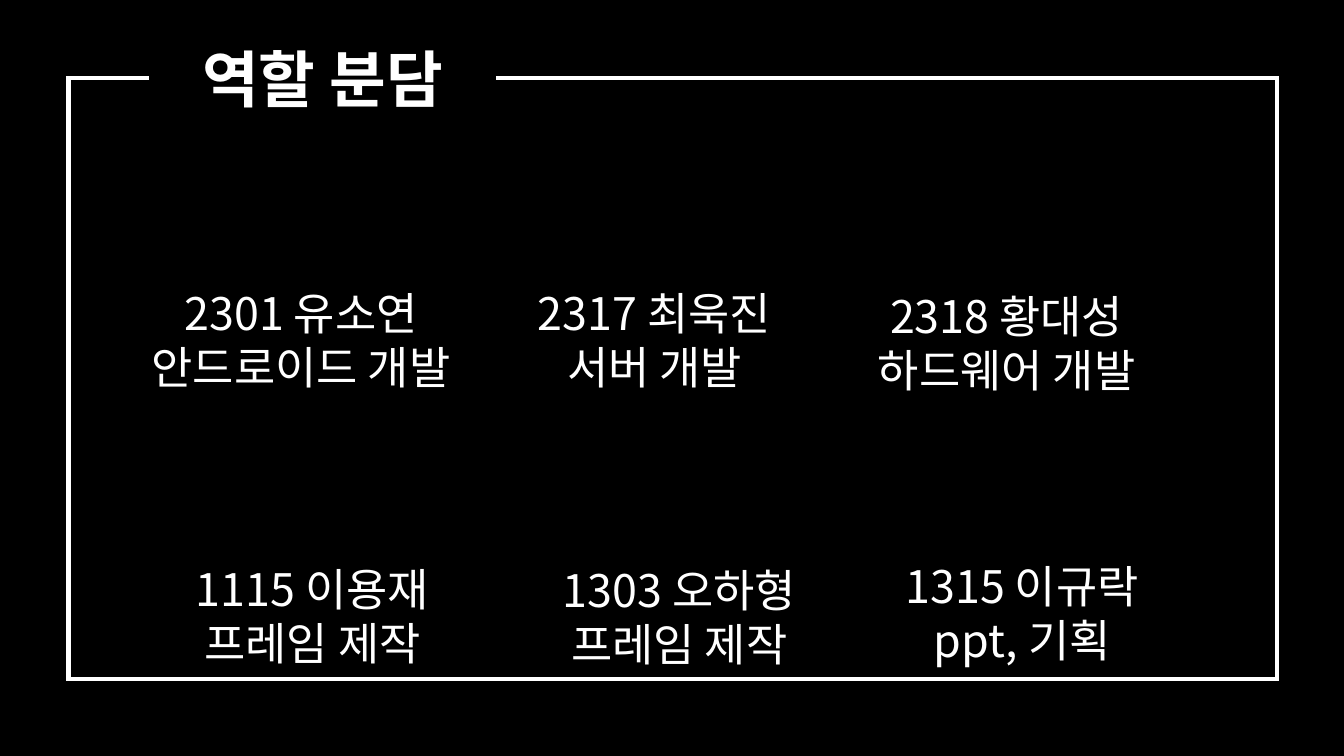
from lxml.etree import SubElement
from pptx import Presentation
from pptx.dml.color import RGBColor
from pptx.enum.shapes import MSO_SHAPE
from pptx.enum.text import MSO_ANCHOR, MSO_AUTO_SIZE, PP_ALIGN
from pptx.oxml.ns import qn
from pptx.util import Inches, Pt

FONT = "Noto Sans CJK KR"
BLACK, WHITE = "000000", "FFFFFF"
WIDTH = 10
HEIGHT = WIDTH * 9 / 16
ROLES = [
    ((0.92, 2.08, 2.64, 0.91), "2301 유소연", "안드로이드 개발"),
    ((3.55, 2.08, 2.64, 0.91), "2317 최욱진", "서버 개발"),
    ((6.17, 2.1, 2.64, 0.91), "2318 황대성", "하드웨어 개발"),
    ((1.16, 4.13, 2.33, 0.91), "1115 이용재", "프레임 제작"),
    ((3.89, 4.14, 2.33, 0.91), "1303 오하형", "프레임 제작"),
    ((6.44, 4.11, 2.33, 0.91), "1315 이규락", "ppt, 기획"),
]


def color(value):
    """Turn a hex string into a colour."""
    return RGBColor.from_string(value)


def add_rect(s, box, fill=None, line=None):
    """Add a flat rectangle with an optional fill and sharp outline."""
    sp = s.shapes.add_shape(MSO_SHAPE.RECTANGLE, *map(Inches, box))
    sp.shadow.inherit = False
    if fill:
        sp.fill.solid()
        sp.fill.fore_color.rgb = color(fill)
    else:
        sp.fill.background()
    if line:
        sp.line.color.rgb = color(line)
        sp.line.width = Pt(2.25)
        ln = sp._element.spPr.find(qn("a:ln"))
        SubElement(ln, qn("a:miter"), lim="800000")
    else:
        sp.line.fill.background()
    return sp


def write_lines(tf, lines, size, bold=False):
    """Write centred white lines, one paragraph each."""
    tf.word_wrap = True
    tf.auto_size = MSO_AUTO_SIZE.SHAPE_TO_FIT_TEXT
    for i, line in enumerate(lines):
        p = tf.paragraphs[0] if i == 0 else tf.add_paragraph()
        p.alignment = PP_ALIGN.CENTER
        r = p.add_run()
        r.text = line
        r.font.size = Pt(size)
        r.font.bold = bold
        r.font.color.rgb = color(WHITE)
        r.font.name = FONT
        SubElement(r.font._element, qn("a:ea"), typeface=FONT)


def add_title(s, box, text):
    """Place the title over the top edge of the frame."""
    tf = add_rect(s, box, fill=BLACK).text_frame
    tf.vertical_anchor = MSO_ANCHOR.MIDDLE
    write_lines(tf, [text], 33, bold=True)


def add_role(s, box, member, duty):
    """Place one member with the duty below."""
    tf = s.shapes.add_textbox(*map(Inches, box)).text_frame
    write_lines(tf, [member, duty], 24)


def main():
    """Build the slide of roles."""
    prs = Presentation()
    prs.slide_width, prs.slide_height = Inches(WIDTH), Inches(HEIGHT)
    s = prs.slides.add_slide(prs.slide_layouts[6])
    add_rect(s, (0, 0, WIDTH, HEIGHT), fill=BLACK)
    add_rect(s, (0.51, 0.58, 8.99, 4.47), line=WHITE)
    add_title(s, (1.11, 0.25, 2.58, 0.66), "역할 분담")
    for box, member, duty in ROLES:
        add_role(s, box, member, duty)
    prs.save("out.pptx")


if __name__ == "__main__":
    main()
